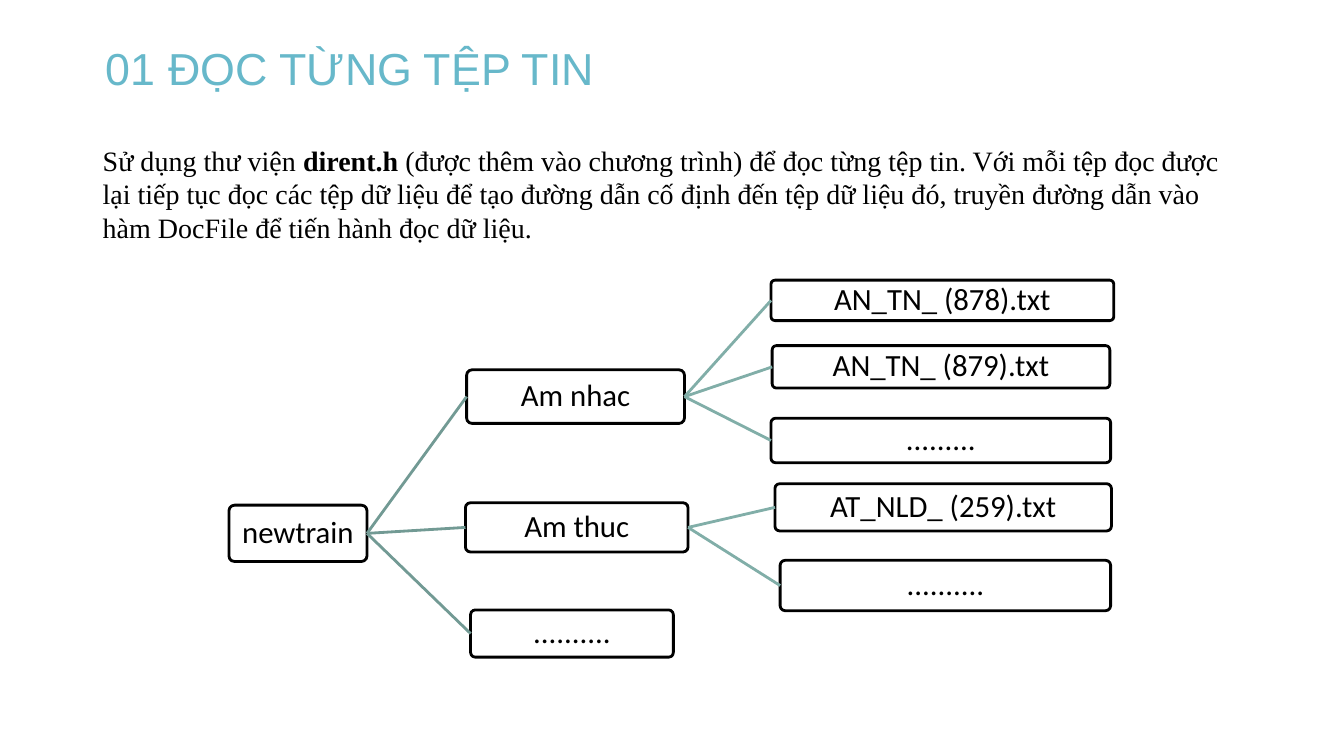
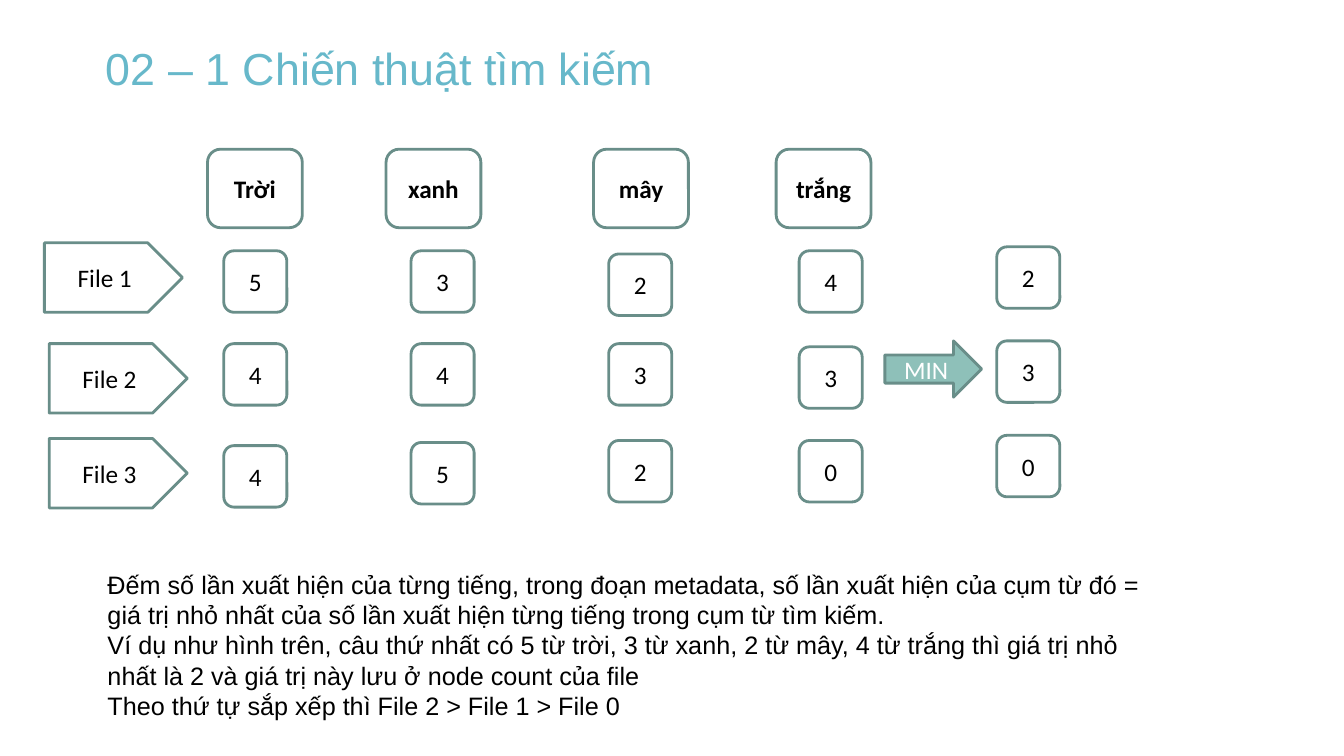
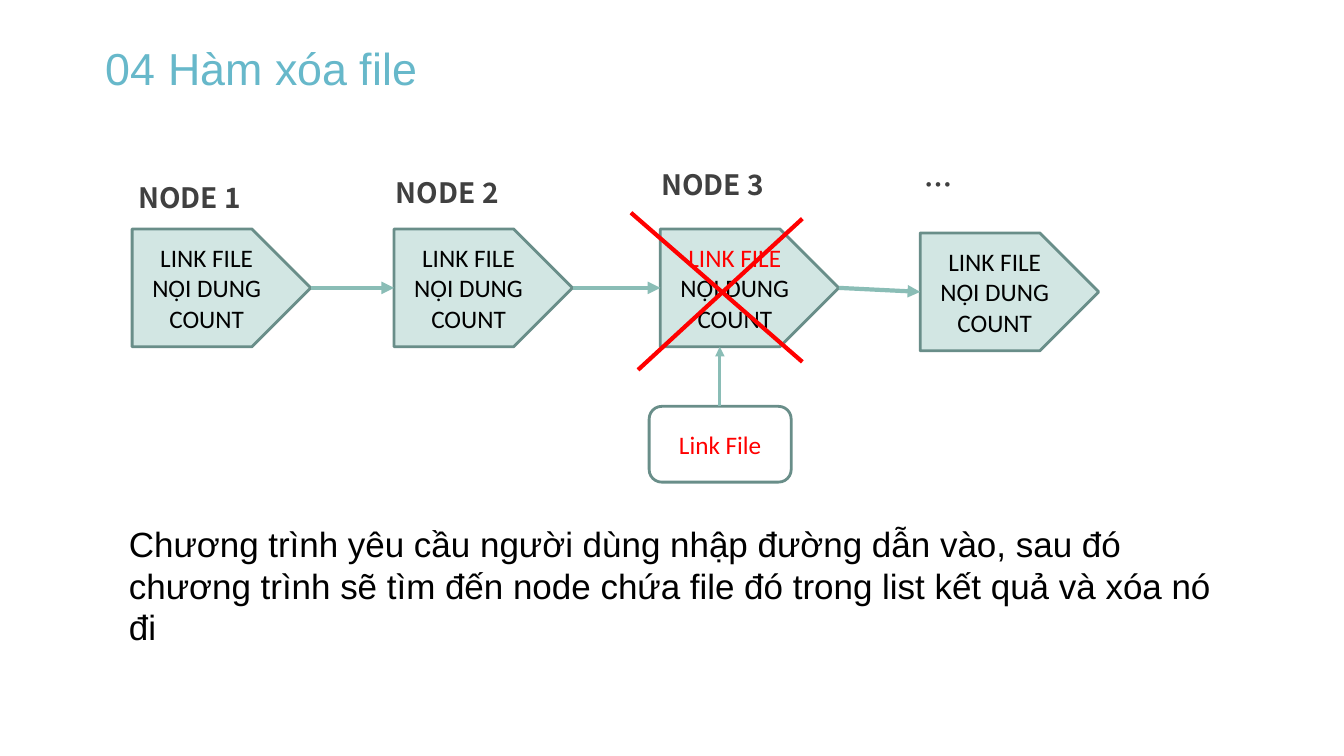
"""Build three slides on reading, searching and deleting files."""
from lxml import etree
from pptx import Presentation
from pptx.dml.color import RGBColor
from pptx.enum import shapes, text
from pptx.oxml import ns
from pptx.util import Cm, Pt

BLACK = RGBColor(0x00, 0x00, 0x00)
WHITE = RGBColor(0xFF, 0xFF, 0xFF)
RED = RGBColor(0xFF, 0x00, 0x00)
GREY = RGBColor(0x40, 0x40, 0x40)
TITLE_BLUE = RGBColor(0x67, 0xB8, 0xCA)
OUTLINE = RGBColor(0x69, 0x8E, 0x89)
TEAL = RGBColor(0x8E, 0xC0, 0xB9)
PALE_TEAL = RGBColor(0xD2, 0xE6, 0xE3)
ARROW = RGBColor(0x8A, 0xBD, 0xB6)
FIRST_BRANCH = RGBColor(0x72, 0x9A, 0x94)
SECOND_BRANCH = RGBColor(0x81, 0xAE, 0xA8)

ROUNDED = shapes.MSO_SHAPE.ROUNDED_RECTANGLE
PENTAGON = shapes.MSO_SHAPE.PENTAGON
RIGHT_ARROW = shapes.MSO_SHAPE.RIGHT_ARROW


def add_box(slide, kind, place, paragraphs, size=18, font="Calibri",
            colour=BLACK, bold=False, fill=WHITE, line=OUTLINE):
    """Add a shape, or a text box if kind is None; a run is (text, changes)."""
    place = [Cm(value) for value in place]
    if kind is None:
        shape = slide.shapes.add_textbox(*place)
        shape.text_frame.auto_size = text.MSO_AUTO_SIZE.SHAPE_TO_FIT_TEXT
    else:
        shape = slide.shapes.add_shape(kind, *place)
        shape.shadow.inherit = False
        shape.fill.solid()
        shape.fill.fore_color.rgb = fill
        shape.line.color.rgb = line
        shape.line.width = Pt(2)
        shape.text_frame.vertical_anchor = text.MSO_ANCHOR.MIDDLE
    frame = shape.text_frame
    frame.word_wrap = True
    for index, runs in enumerate(paragraphs):
        paragraph = frame.add_paragraph() if index else frame.paragraphs[0]
        paragraph.alignment = text.PP_ALIGN.CENTER if kind else text.PP_ALIGN.LEFT
        for words, changes in runs:
            run = paragraph.add_run()
            run.text = words
            run.font.name = font
            run.font.size = Pt(size)
            run.font.bold = changes.get("bold", bold)
            run.font.color.rgb = changes.get("colour", colour)
    return shape


def add_line(slide, colour, width, ends=(0, 0, 0, 0), arrow=False, joins=None):
    """Draw a straight line between two points or two joined shapes."""
    connector = slide.shapes.add_connector(
        shapes.MSO_CONNECTOR.STRAIGHT, *[Cm(value) for value in ends])
    if joins:
        connector.begin_connect(joins[0], 3)
        connector.end_connect(joins[1], 1)
    connector.line.color.rgb = colour
    connector.line.width = Pt(width)
    if arrow:
        etree.SubElement(connector.line._get_or_add_ln(), ns.qn("a:tailEnd"), type="triangle")
    etree.SubElement(connector._element.spPr, ns.qn("a:effectLst"))


presentation = Presentation()
presentation.slide_width = Cm(33.87)
presentation.slide_height = Cm(19.05)

slides = []
for heading in ("01 ĐỌC TỪNG TỆP TIN", "02 – 1 Chiến thuật tìm kiếm", "04 Hàm xóa file"):
    slide = presentation.slides.add_slide(presentation.slide_layouts[5])
    title = slide.shapes.title
    title.left, title.top, title.width, title.height = Cm(2.67), Cm(1.02), Cm(15), Cm(1.37)
    frame = title.text_frame
    frame.margin_left = frame.margin_right = frame.margin_top = frame.margin_bottom = 0
    frame.vertical_anchor = text.MSO_ANCHOR.TOP
    frame.auto_size = text.MSO_AUTO_SIZE.SHAPE_TO_FIT_TEXT
    frame.word_wrap = True
    frame.paragraphs[0].alignment = text.PP_ALIGN.LEFT
    run = frame.paragraphs[0].add_run()
    run.text = heading
    run.font.name = "Arial"
    run.font.size = Pt(32)
    run.font.color.rgb = TITLE_BLUE
    slides.append(slide)
reading, searching, deleting = slides

introduction = add_box(reading, None, (2.34, 3.48, 29.21, 14.33), [[
    ("Sử dụng thư viện ", {}),
    ("dirent.h", {"bold": True}),
    (" (được thêm vào chương trình) để đọc từng tệp tin. Với mỗi tệp đọc được lại tiếp tục "
     "đọc các tệp dữ liệu để tạo đường dẫn cố định đến tệp dữ liệu đó, truyền đường dẫn vào "
     "hàm DocFile để tiến hành đọc dữ liệu.", {}),
]], size=20, font="Times New Roman")
introduction.text_frame.auto_size = text.MSO_AUTO_SIZE.NONE

tree = [
    ("root", None, "newtrain", (5.77, 12.73, 3.48, 1.42)),
    ("music", "root", "Am nhac", (11.76, 9.32, 5.49, 1.35)),
    ("music 1", "music", "AN_TN_ (878).txt", (19.43, 7.06, 8.64, 1.02)),
    ("music 2", "music", "AN_TN_ (879).txt", (19.46, 8.71, 8.51, 1.07)),
    ("music more", "music", ".........", (19.43, 10.54, 8.56, 1.12)),
    ("food", "root", "Am thuc", (11.73, 12.67, 5.61, 1.24)),
    ("food 1", "food", "AT_NLD_ (259).txt", (19.53, 12.19, 8.48, 1.19)),
    ("food more", "food", "..........", (19.66, 14.12, 8.33, 1.27)),
    ("root more", "root", "..........", (11.86, 15.37, 5.11, 1.19)),
]
tree_boxes = {}
for name, parent, label, place in tree:
    box = add_box(reading, ROUNDED, place, [[(label, {})]], size=22, line=BLACK)
    box.adjustments[0] = 0.1
    frame = box.text_frame
    frame.margin_left = frame.margin_right = frame.margin_top = frame.margin_bottom = Cm(0.05)
    frame.paragraphs[0].line_spacing = 0.9
    tree_boxes[name] = box
    if parent:
        colour = FIRST_BRANCH if parent == "root" else SECOND_BRANCH
        add_line(reading, colour, 2, joins=(tree_boxes[parent], box))

for word, left in (("Trời", 5.23), ("xanh", 9.73), ("mây", 14.96), ("trắng", 19.56)):
    add_box(searching, ROUNDED, (left, 3.76, 2.39, 1.98), [[(word, {})]], bold=True)

for label, left, top in (("File 1", 1.12, 6.12), ("File 2", 1.24, 8.66), ("File 3", 1.24, 11.05)):
    add_box(searching, PENTAGON, (left, top, 3.48, 1.75), [[(label, {})]])

count_columns = [
    (5.64, (6.32, 8.66, 11.23), "544"),
    (10.36, (6.32, 8.66, 11.15), "345"),
    (15.34, (6.4, 8.66, 11.1), "232"),
    (20.14, (6.32, 8.74, 11.1), "430"),
    (25.12, (6.22, 8.59, 10.97), "230"),
]
for left, tops, counts in count_columns:
    for top, count in zip(tops, counts):
        add_box(searching, ROUNDED, (left, top, 1.59, 1.55), [[(count, {})]])

add_box(searching, RIGHT_ARROW, (22.3, 8.59, 2.44, 1.42), [[("MIN", {})]],
        colour=WHITE, fill=TEAL)

add_box(searching, None, (2.46, 14.22, 26.62, 4.11), [
    [("Đếm số lần xuất hiện của từng tiếng, trong đoạn metadata, số lần xuất hiện của cụm từ đó "
      "= giá trị nhỏ nhất của số lần xuất hiện từng tiếng trong cụm từ tìm kiếm.", {})],
    [("Ví dụ như hình trên, câu thứ nhất có 5 từ trời, 3 từ xanh, 2 từ mây, 4 từ trắng thì giá "
      "trị nhỏ nhất là 2 và giá trị này lưu ở node count của file", {})],
    [("Theo thứ tự sắp xếp thì File 2 > File 1 > File 0", {})],
], font="Arial")

nodes = [
    ("NODE 1", (3.23, 4.42, 3.53, 1.12), (3.33, 5.77), BLACK),
    ("NODE 2", (9.73, 4.29, 3.53, 1.12), (9.93, 5.77), BLACK),
    ("NODE 3", (16.41, 4.09, 3.53, 1.12), (16.64, 5.77), RED),
    ("…", (23.06, 4.09, 1.19, 1.12), (23.19, 5.87), BLACK),
]
previous = None
for label, label_place, corner, link_colour in nodes:
    node = add_box(deleting, PENTAGON, (*corner, 4.5, 2.97), [
        [("LINK FILE", {"colour": link_colour})], [("NỘI DUNG", {})], [("COUNT", {})],
    ], fill=PALE_TEAL)
    caption = add_box(deleting, None, label_place, [[(label, {})]], size=20,
                      font="Noto Sans CJK SC", colour=GREY, bold=True)
    caption.text_frame.word_wrap = False
    if previous:
        add_line(deleting, ARROW, 3, arrow=True, joins=(previous, node))
    previous = node

add_box(deleting, ROUNDED, (16.36, 10.24, 3.58, 1.91), [[("Link File", {})]], colour=RED)
add_line(deleting, ARROW, 2.25, (18.14, 10.24, 18.14, 8.74), arrow=True)
for stroke in ((15.9, 5.36, 20.22, 9.12), (20.22, 5.51, 16.08, 9.32)):
    add_line(deleting, RED, 3, stroke)

add_box(deleting, None, (3, 13.03, 27.89, 3.99), [[
    ("Chương trình yêu cầu người dùng nhập đường dẫn vào, sau đó chương trình sẽ tìm đến node "
     "chứa file đó trong list kết quả và xóa nó đi", {}),
]], size=25, font="Arial")

presentation.save("out.pptx")
